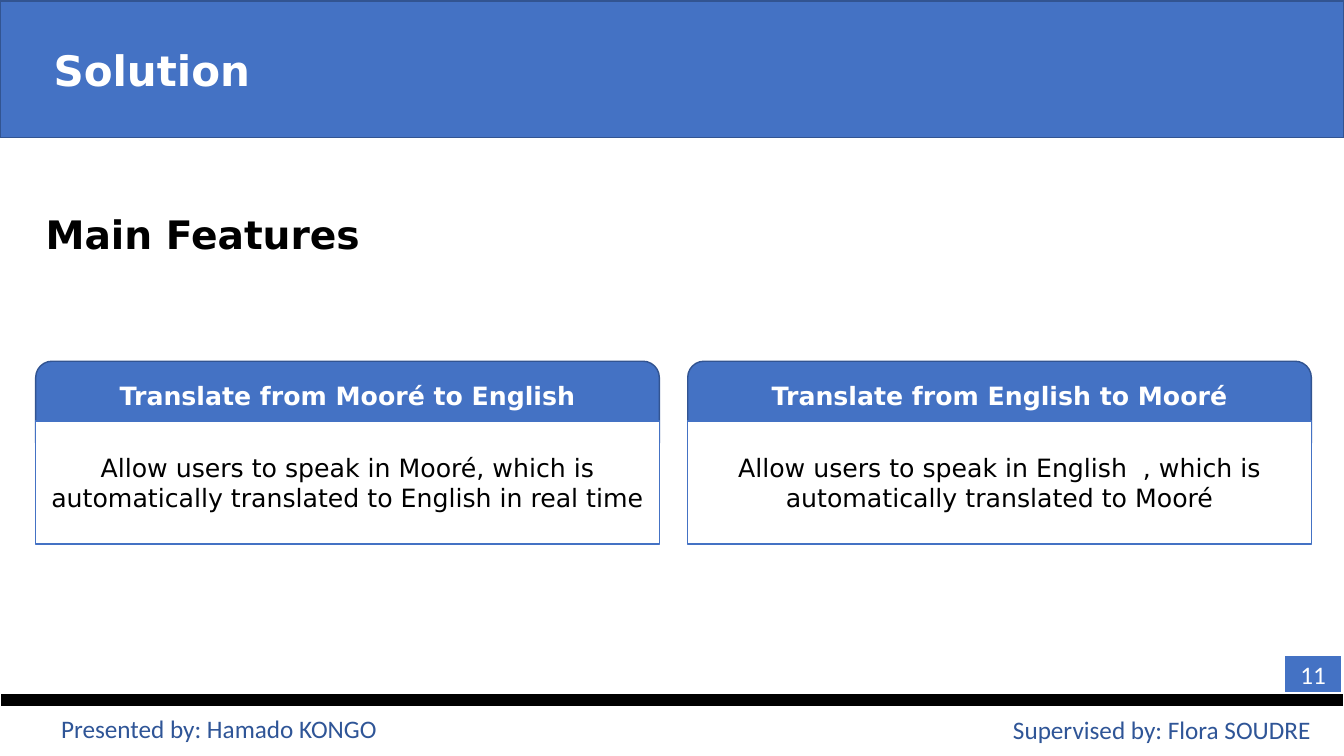
from dataclasses import dataclass

import pptx
import pptx.dml.color
import pptx.enum.shapes
import pptx.enum.text
import pptx.util

Align = pptx.enum.text.PP_ALIGN
Anchor = pptx.enum.text.MSO_ANCHOR
Preset = pptx.enum.shapes.MSO_SHAPE


@dataclass(frozen=True)
class Theme:
    blue: str = "4472C4"
    edge: str = "325491"
    footer: str = "2F5597"
    black: str = "000000"
    white: str = "FFFFFF"
    heading_font: str = "DejaVu Sans"
    footer_font: str = "Calibri"
    title_size: int = 30
    section_size: int = 28
    text_size: int = 18


@dataclass(frozen=True)
class Frame:
    left: int
    top: int
    width: int
    height: int


@dataclass(frozen=True)
class Feature:
    heading: str
    description: str


@dataclass(frozen=True)
class Credit:
    text: str
    frame: Frame


THEME = Theme()
FEATURES = [
    Feature("Translate from Mooré to English",
            "Allow users to speak in Mooré, which is automatically "
            "translated to English in real time"),
    Feature("Translate from English to Mooré",
            "Allow users to speak in English  , which is automatically "
            "translated to Mooré"),
]
CREDITS = [
    Credit("Presented by: Hamado KONGO", Frame(2, 675, 413, 38)),
    Credit("Supervised by: Flora SOUDRE", Frame(900, 676, 413, 38)),
]
CARD_LEFT, CARD_TOP, CARD_WIDTH, CARD_STEP = 34, 344, 594, 621


def px(length: int) -> pptx.util.Emu:
    return pptx.util.Emu(length * 9525)


def rgb(color: str) -> pptx.dml.color.RGBColor:
    return pptx.dml.color.RGBColor.from_string(color)


def bounds(frame: Frame) -> tuple:
    return px(frame.left), px(frame.top), px(frame.width), px(frame.height)


def paint(shape, fill: str, line: str, weight: float = 1) -> None:
    shape.fill.solid()
    shape.fill.fore_color.rgb = rgb(fill)
    shape.line.color.rgb = rgb(line)
    shape.line.width = pptx.util.Pt(weight)


def write(shape, text: str, color: str, size: int = THEME.text_size,
          font: str = THEME.heading_font, bold: bool = False,
          align: Align = Align.CENTER, anchor: Anchor = Anchor.MIDDLE) -> None:
    text_frame = shape.text_frame
    text_frame.word_wrap = True
    text_frame.auto_size = pptx.enum.text.MSO_AUTO_SIZE.NONE
    text_frame.vertical_anchor = anchor
    para = text_frame.paragraphs[0]
    para.text = text
    para.alignment = align
    para.font.name = font
    para.font.size = pptx.util.Pt(size)
    para.font.bold = bold
    para.font.color.rgb = rgb(color)


def add_box(page, preset: Preset, frame: Frame, fill: str, line: str,
            weight: float = 1):
    box = page.shapes.add_shape(preset, *bounds(frame))
    box.shadow.inherit = False
    paint(box, fill, line, weight)
    return box


def add_title(page, text: str) -> None:
    title = page.shapes.title
    title.left, title.top, title.width, title.height = bounds(Frame(0, 1, 1280, 130))
    paint(title, THEME.blue, THEME.edge)
    write(title, text, THEME.white, THEME.title_size, bold=True, align=Align.LEFT)
    title.text_frame.margin_left = px(51)


def add_feature(page, feature: Feature, left: int) -> None:
    header = add_box(page, Preset.ROUNDED_RECTANGLE,
                     Frame(left, CARD_TOP, CARD_WIDTH, 93), THEME.blue, THEME.edge)
    write(header, feature.heading, THEME.white, bold=True)
    # Keeps the heading clear of the body that covers the header's lower part
    header.text_frame.margin_bottom = px(33)
    body = add_box(page, Preset.RECTANGLE,
                   Frame(left, CARD_TOP + 57, CARD_WIDTH, 117),
                   THEME.white, THEME.blue)
    write(body, feature.description, THEME.black)


def main() -> None:
    deck = pptx.Presentation()
    deck.slide_width, deck.slide_height = px(1280), px(720)
    page = deck.slides.add_slide(deck.slide_layouts.get_by_name("Title Only"))

    # Title band and section heading
    add_title(page, "Solution")
    section = page.shapes.add_textbox(*bounds(Frame(34, 196, 342, 55)))
    write(section, "Main Features", THEME.black, THEME.section_size, bold=True,
          align=Align.LEFT, anchor=Anchor.TOP)

    # Feature cards
    for index, feature in enumerate(FEATURES):
        add_feature(page, feature, CARD_LEFT + index * CARD_STEP)

    # Footer rule, credits and page number
    add_box(page, Preset.RECTANGLE, Frame(0, 660, 1280, 13),
            THEME.black, THEME.white, 1.5)
    for credit in CREDITS:
        box = page.shapes.add_textbox(*bounds(credit.frame))
        write(box, credit.text, THEME.footer, font=THEME.footer_font,
              anchor=Anchor.TOP)
    number = add_box(page, Preset.RECTANGLE, Frame(1223, 624, 55, 36),
                     THEME.blue, THEME.white)
    write(number, "11", THEME.white, font=THEME.footer_font)

    deck.save("out.pptx")


if __name__ == "__main__":
    main()
